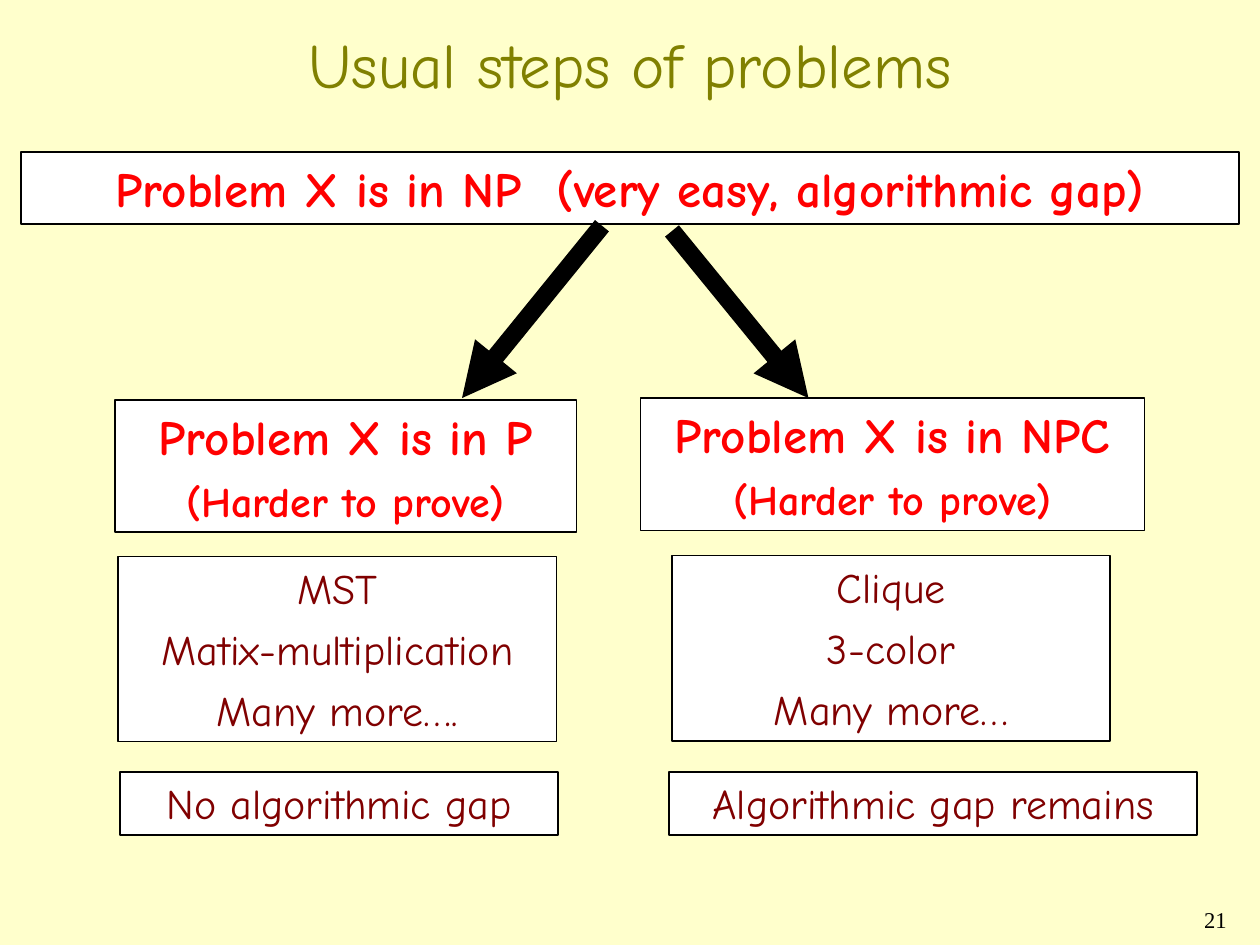
from pptx import Presentation
from pptx.dml.color import RGBColor
from pptx.enum import shapes, text
from pptx.oxml.ns import qn
from pptx.util import Pt
from lxml import etree

FONT = "Comic Neue"
BLACK, WHITE, CREAM = "000000", "FFFFFF", "FFFFCC"
OLIVE, RED, MAROON = "808000", "FF0000", "800000"

TITLE = "Usual steps of problems"
PAGE_NUMBER = "21"

# Each claim: (left, top, width, height), [(wording, size, space before)]
CLAIMS = [
    ((12, 87, 696, 41), [("Problem X is in NP  (very easy, algorithmic gap)", 28, 7)]),
    ((65.5, 228.5, 264, 75.6), [("Problem X is in P", 28, 7), ("(Harder to prove)", 24, 6)]),
    ((366, 227.5, 288, 75.6), [("Problem X is in NPC", 28, 7), ("(Harder to prove)", 24, 6)]),
]
# Each note: (left, top, width, height), lines
NOTES = [
    ((67.5, 318, 250.5, 105.8), ["MST", "Matix-multiplication", "Many more…."]),
    ((384, 317.5, 250.5, 105.8), ["Clique", "3-color", "Many more…"]),
    ((68.5, 441, 250.5, 36), ["No algorithmic gap"]),
    ((382.5, 441, 301.5, 36), ["Algorithmic gap remains"]),
]
# Each arrow: start x, start y, end x, end y
ARROWS = [(344, 129, 264, 227.5), (384, 132, 462, 227.5)]


def rgb(value):
    return RGBColor.from_string(value)


def points(*values):
    return [Pt(value) for value in values]


def add_run(paragraph, wording, size, color, font=FONT, bold=False):
    run = paragraph.add_run()
    run.text = wording
    run.font.name = font
    run.font.size = Pt(size)
    run.font.bold = bold
    run.font.color.rgb = rgb(color)


def add_box(slide, place, lines, color, bold=False):
    """Add a white framed box; lines hold (wording, size, space before)."""
    box = slide.shapes.add_shape(shapes.MSO_SHAPE.RECTANGLE, *points(*place))
    box.shadow.inherit = False
    box.fill.solid()
    box.fill.fore_color.rgb = rgb(WHITE)
    box.line.color.rgb = rgb(BLACK)
    box.line.width = Pt(1)
    frame = box.text_frame
    frame.word_wrap = True
    frame.vertical_anchor = text.MSO_ANCHOR.TOP
    for index, (wording, size, space) in enumerate(lines):
        paragraph = frame.add_paragraph() if index else frame.paragraphs[0]
        paragraph.alignment = text.PP_ALIGN.CENTER
        paragraph.space_before = Pt(space)
        add_run(paragraph, wording, size, color, bold=bold)


def add_arrow(slide, ends):
    arrow = slide.shapes.add_connector(shapes.MSO_CONNECTOR.STRAIGHT, *points(*ends))
    arrow.line.color.rgb = rgb(BLACK)
    arrow.line.width = Pt(10.25)
    etree.SubElement(arrow.line._get_or_add_ln(), qn("a:tailEnd"), type="triangle")
    etree.SubElement(arrow._element.spPr, qn("a:effectLst"))


def add_title(slide):
    title = slide.shapes.title
    title.left, title.top, title.width, title.height = points(12, 12, 696, 48)
    title.text_frame.vertical_anchor = text.MSO_ANCHOR.MIDDLE
    paragraph = title.text_frame.paragraphs[0]
    paragraph.alignment = text.PP_ALIGN.CENTER
    add_run(paragraph, TITLE, 36, OLIVE)


def add_page_number(slide):
    frame = slide.shapes.add_textbox(*points(558, 516, 150, 24)).text_frame
    frame.word_wrap = True
    paragraph = frame.paragraphs[0]
    paragraph.alignment = text.PP_ALIGN.RIGHT
    paragraph.line_spacing = 0.9
    add_run(paragraph, PAGE_NUMBER, 12.9, BLACK, font="Times New Roman")


def main():
    deck = Presentation()
    deck.slide_width, deck.slide_height = points(720, 540)
    slide = deck.slides.add_slide(deck.slide_layouts.get_by_name("Title Only"))
    slide.background.fill.solid()
    slide.background.fill.fore_color.rgb = rgb(CREAM)

    add_title(slide)
    add_page_number(slide)
    for place, lines in CLAIMS:
        add_box(slide, place, lines, RED, bold=True)
    for ends in ARROWS:
        add_arrow(slide, ends)
    for place, lines in NOTES:
        add_box(slide, place, [(line, 24, 6) for line in lines], MAROON)

    deck.save("out.pptx")


if __name__ == "__main__":
    main()
